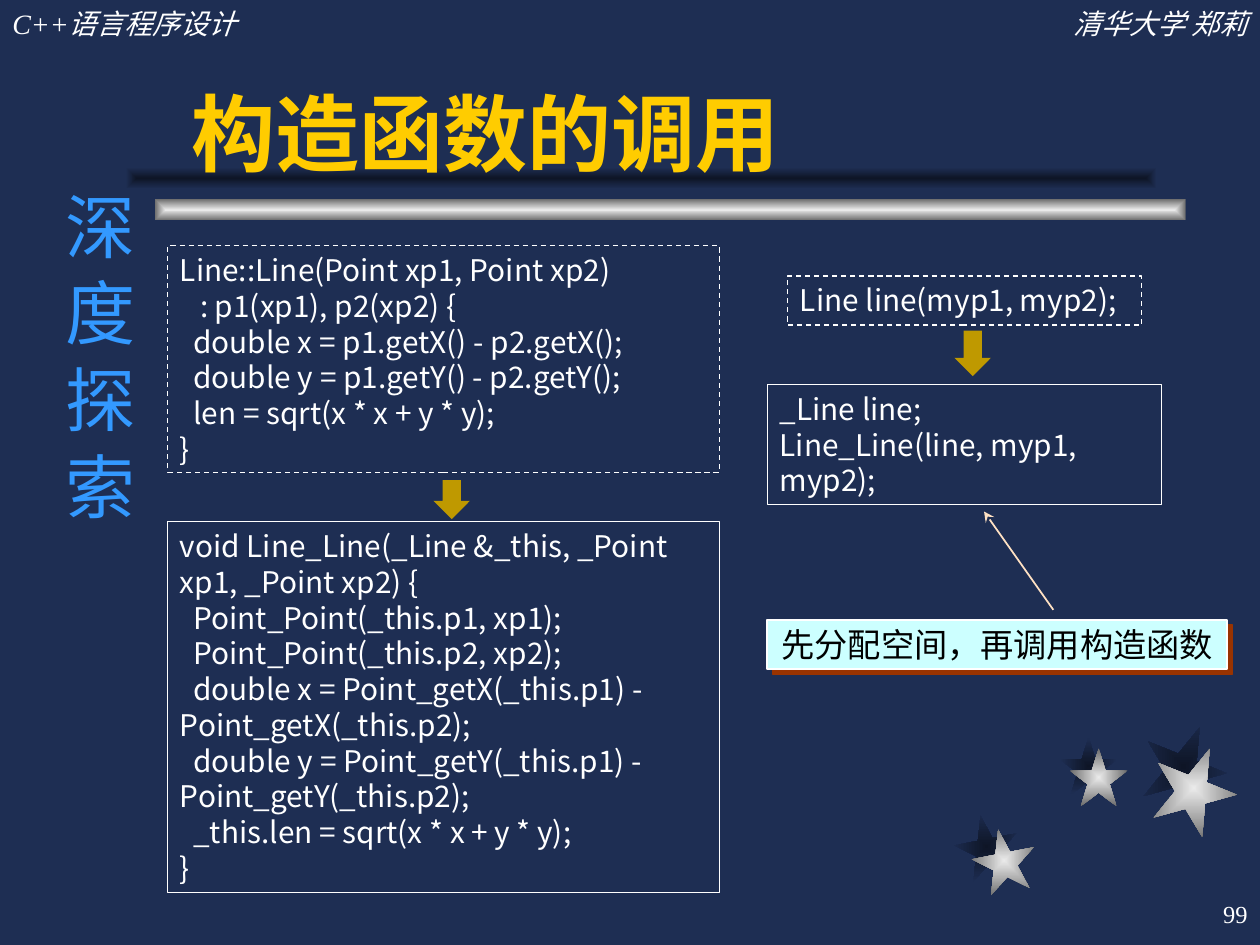
from dataclasses import dataclass

from lxml import etree
from pptx import Presentation
from pptx import util as u
from pptx.dml.color import RGBColor
from pptx.enum import dml, shapes, text
from pptx.oxml import ns


@dataclass(frozen=True)
class Theme:
    background: str = "1E2E53"
    shade: str = "0E1526"
    silver: str = "EAEAEA"
    grey: str = "6C6C6C"
    white: str = "FFFFFF"
    black: str = "000000"
    gold: str = "FFCC00"
    arrow: str = "BF9900"
    blue: str = "3399FF"
    note: str = "CCFFFF"
    note_shadow: str = "993300"
    pointer: str = "FFE1C3"
    serif: str = "Times New Roman"
    sans: str = "Arial"
    cjk: str = "Noto Sans CJK SC"
    title_size: float = 48
    side_size: float = 40
    note_size: float = 19
    code_size: float = 17
    code_line: float = 20.45
    header_size: float = 16
    number_size: float = 14


THEME = Theme()
SPACE = 0.053
STARS = [
    ((7.58, 6.47), (7.72, 6.58), 0.5, 349),
    ((8.41, 5.85), (8.49, 5.94), 0.46, 0),
    ((9.06, 5.75), (9.14, 5.92), 0.67, 22),
]
CODE_BOXES = [
    ((1.33, 1.95, 4.38, 1.8), True, [
        (0, "Line::Line(Point xp1, Point xp2)"),
        (3, ": p1(xp1), p2(xp2) {"),
        (2, "double x = p1.getX() - p2.getX();"),
        (2, "double y = p1.getY() - p2.getY();"),
        (2, "len = sqrt(x * x + y * y);"),
        (0, "}"),
    ]),
    ((1.33, 4.14, 4.38, 2.94), False, [
        (0, "void Line_Line(_Line &_this, _Point xp1, _Point xp2) {"),
        (2, "Point_Point(_this.p1, xp1);"),
        (2, "Point_Point(_this.p2, xp2);"),
        (2, "double x = Point_getX(_this.p1) - Point_getX(_this.p2);"),
        (2, "double y = Point_getY(_this.p1) - Point_getY(_this.p2);"),
        (2, "_this.len = sqrt(x * x + y * y);"),
        (0, "}"),
    ]),
    ((6.25, 2.19, 2.81, 0.39), True, [(0, "Line line(myp1, myp2);")]),
    ((6.09, 3.05, 3.13, 0.95), False, [
        (0, "_Line line;"),
        (0, "Line_Line(line, myp1, myp2);"),
    ]),
]


def inches(values):
    return [u.Inches(value) for value in values]


def apply(target, values):
    for name, value in values.items():
        setattr(target, name, value)


def add_element(parent, tag, **values):
    return etree.SubElement(parent, ns.qn(tag), values)


def write(para, words, color, **font):
    span = para.add_run()
    span.text = words
    apply(span.font, font)
    span.font.color.rgb = RGBColor.from_string(color)
    add_element(span._r.get_or_add_rPr(), "a:ea", typeface=THEME.cjk)


def add_label(page, place, words, color, align=text.PP_ALIGN.LEFT, frame=None, **font):
    box = page.shapes.add_textbox(*inches(place))
    apply(box.text_frame, {"word_wrap": True, **(frame or {})})
    para = box.text_frame.paragraphs[0]
    para.alignment = align
    write(para, words, color, **font)
    return box


def add_preset(page, kind, place, rotation=0):
    shape = page.shapes.add_shape(kind, *inches(place))
    shape.shadow.inherit = False
    shape.line.fill.background()
    shape.rotation = rotation
    return shape


def fill_solid(shape, color):
    shape.fill.solid()
    shape.fill.fore_color.rgb = RGBColor.from_string(color)


def fill_glow(shape, center, edge):
    shape.fill.gradient()
    for stop, color in zip(shape.fill.gradient_stops, (center, edge)):
        stop.color.rgb = RGBColor.from_string(color)
    gradient = shape._element.spPr.find(ns.qn("a:gradFill"))
    linear = gradient.find(ns.qn("a:lin"))
    glow = etree.Element(ns.qn("a:path"), path="rect")
    add_element(glow, "a:fillToRect", l="50000", t="50000", r="50000", b="50000")
    gradient.replace(linear, glow)


def set_line(shape, color, width):
    shape.line.color.rgb = RGBColor.from_string(color)
    shape.line.width = u.Pt(width)


def add_code(page, place, dashed, lines):
    box = add_preset(page, shapes.MSO_SHAPE.RECTANGLE, place)
    box.fill.background()
    set_line(box, THEME.white, 0.75 if dashed else 0.25)
    if dashed:
        box.line.dash_style = dml.MSO_LINE.DASH
    frame = box.text_frame
    apply(frame, {"word_wrap": True, "vertical_anchor": text.MSO_ANCHOR.TOP})
    for index, (spaces, words) in enumerate(lines):
        para = frame.add_paragraph() if index else frame.paragraphs[0]
        apply(para, {"alignment": text.PP_ALIGN.LEFT, "line_spacing": u.Pt(THEME.code_line)})
        apply_indent = para._p.get_or_add_pPr().set
        apply_indent("marL", "0")
        apply_indent("indent", str(u.Inches(spaces * SPACE)))
        write(para, words, THEME.white, name=THEME.cjk, size=u.Pt(THEME.code_size))


def add_note(page):
    note = add_preset(page, shapes.MSO_SHAPE.RECTANGLE, (6.09, 4.92, 3.65, 0.39))
    fill_solid(note, THEME.note)
    set_line(note, THEME.white, 1)
    effects = note._element.spPr.find(ns.qn("a:effectLst"))
    shadow = add_element(effects, "a:outerShdw", blurRad="0", dist=str(u.Pt(4.2)),
                         dir="2700000", algn="ctr", rotWithShape="0")
    add_element(shadow, "a:srgbClr", val=THEME.note_shadow)
    apply(note.text_frame, {"word_wrap": False, "vertical_anchor": text.MSO_ANCHOR.MIDDLE})
    para = note.text_frame.paragraphs[0]
    para.alignment = text.PP_ALIGN.CENTER
    write(para, "先分配空间，再调用构造函数", THEME.black,
          name=THEME.cjk, size=u.Pt(THEME.note_size))

    pointer = page.shapes.add_connector(shapes.MSO_CONNECTOR.STRAIGHT,
                                        *inches((8.36, 4.84, 7.81, 4.06)))
    set_line(pointer, THEME.pointer, 1)
    add_element(pointer.line._get_or_add_ln(), "a:tailEnd", type="stealth")
    add_element(pointer._element.spPr, "a:effectLst")


def add_decor(page):
    colors = ((THEME.shade, THEME.background), (THEME.silver, THEME.grey))
    for layer, pair in enumerate(colors):
        for *corners, size, rotation in STARS:
            star = add_preset(page, shapes.MSO_SHAPE.STAR_5_POINT,
                              (*corners[layer], size, size), rotation)
            fill_glow(star, *pair)
    for (left, top), pair in zip(((1, 1.33), (1.23, 1.58)), colors):
        bar = add_preset(page, shapes.MSO_SHAPE.RECTANGLE, (left, top, 8.18, 0.17))
        fill_glow(bar, *pair)


def add_labels(page):
    header = {"name": THEME.serif, "size": u.Pt(THEME.header_size), "italic": True}
    add_label(page, (0, 0, 3.08, 0.37), "C++语言程序设计", THEME.white, **header)
    add_label(page, (6.92, 0, 3.08, 0.37), "清华大学 郑莉", THEME.white,
              text.PP_ALIGN.RIGHT, **header)
    add_label(page, (1.42, 0.25, 7.83, 1.25), "构造函数的调用", THEME.gold,
              frame={"vertical_anchor": text.MSO_ANCHOR.BOTTOM},
              name=THEME.sans, size=u.Pt(THEME.title_size), bold=True)
    add_label(page, (7.92, 7, 2.08, 0.5), "99", THEME.white, text.PP_ALIGN.RIGHT,
              {"vertical_anchor": text.MSO_ANCHOR.MIDDLE},
              name=THEME.serif, size=u.Pt(THEME.number_size))
    narrow, wide = u.Inches(0.05), u.Inches(0.1)
    side = add_label(page, (0.3, 1.42, 0.86, 5.17), "深 度 探 索", THEME.blue,
                     text.PP_ALIGN.CENTER,
                     {"margin_left": narrow, "margin_right": narrow,
                      "margin_top": wide, "margin_bottom": wide},
                     name=THEME.serif, size=u.Pt(THEME.side_size))
    side.text_frame._txBody.bodyPr.set("vert", "eaVert")


def main():
    deck = Presentation()
    apply(deck, {"slide_width": u.Inches(10), "slide_height": u.Inches(7.5)})
    page = deck.slides.add_slide(deck.slide_layouts[6])
    fill_solid_background = page.background.fill
    fill_solid_background.solid()
    fill_solid_background.fore_color.rgb = RGBColor.from_string(THEME.background)
    add_decor(page)
    add_labels(page)
    for place, dashed, lines in CODE_BOXES:
        add_code(page, place, dashed, lines)
    for place in ((3.43, 3.82, 0.31, 0.29), (7.54, 2.66, 0.36, 0.29)):
        fill_solid(add_preset(page, shapes.MSO_SHAPE.RIGHT_ARROW, place, 90), THEME.arrow)
    add_note(page)
    deck.save("out.pptx")


if __name__ == "__main__":
    main()
